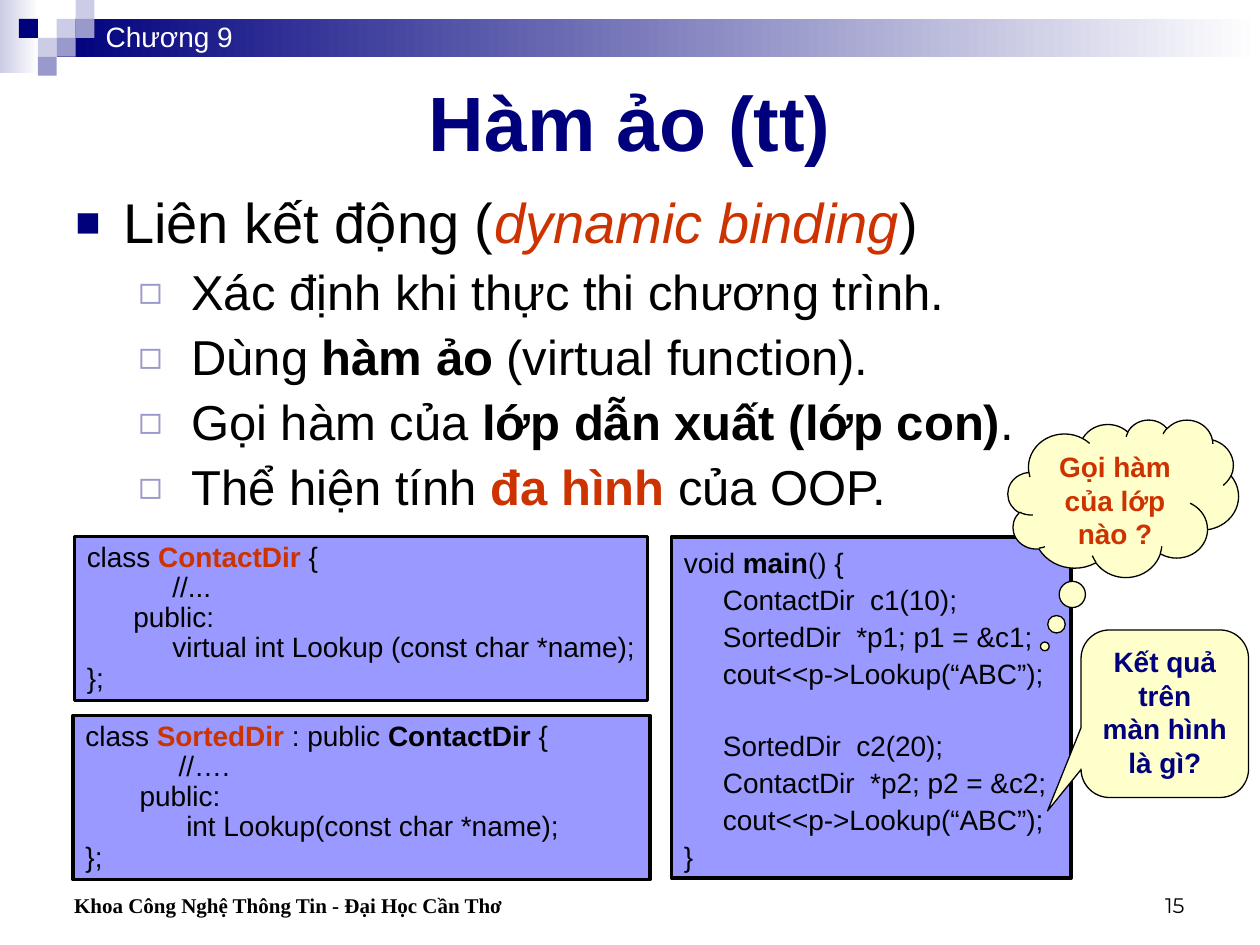
from lxml import etree
from pptx import Presentation
from pptx import util as u
from pptx.dml import color
from pptx.enum import shapes, text
from pptx.oxml import ns

NAVY, LAVENDER, PALE = "00007D", "9999CC", "CCCCE6"
RED, BLACK, WHITE = "CC3300", "000000", "FFFFFF"
CODE_FILL, NOTE_FILL = "9999FF", "FFFFCC"
RECTANGLE = shapes.MSO_SHAPE.RECTANGLE
ANCHOR, ALIGN = text.MSO_ANCHOR, text.PP_ALIGN


def rgb(value):
    return color.RGBColor.from_string(value)


def place(box):
    return [u.Inches(length) for length in box]


def add_box(slide, kind, box, fill, line_width=None):
    shape = slide.shapes.add_shape(kind, *place(box))
    shape.shadow.inherit = False
    shape.fill.solid()
    shape.fill.fore_color.rgb = rgb(fill)
    if line_width:
        shape.line.color.rgb = rgb(BLACK)
        shape.line.width = u.Pt(line_width)
    else:
        shape.line.fill.background()
    return shape


def add_fading_bar(slide, box, start):
    shape = add_box(slide, RECTANGLE, box, start)
    shape.fill.gradient()
    shape.fill.gradient_angle = 0
    for stop, value in zip(shape.fill.gradient_stops, (start, WHITE)):
        stop.color.rgb = rgb(value)


def write(shape, paragraphs, size, anchor=ANCHOR.TOP, align=ALIGN.LEFT, font="Arial"):
    """Fill a shape with paragraphs, each a list of (text, colour, style) runs.

    Style holds "b" for bold and "i" for italic.
    """
    frame = shape.text_frame
    frame.word_wrap = True
    frame.vertical_anchor = anchor
    for index, runs in enumerate(paragraphs):
        paragraph = frame.add_paragraph() if index else frame.paragraphs[0]
        paragraph.alignment = align
        for content, value, style in runs:
            run = paragraph.add_run()
            run.text = content
            run.font.name = font
            run.font.size = u.Pt(size)
            run.font.color.rgb = rgb(value)
            run.font.bold = "b" in style
            run.font.italic = "i" in style
    return frame


def add_text(slide, box, *args, **options):
    return write(slide.shapes.add_textbox(*place(box)), *args, **options)


def plain(content):
    return [(content, BLACK, "")]


def indent(paragraph, left, first=0):
    properties = paragraph._p.get_or_add_pPr()
    properties.set("marL", str(u.Inches(left)))
    properties.set("indent", str(u.Inches(first)))
    return properties


def add_bullet(paragraph, left, first, character, value, percent):
    properties = indent(paragraph, left, first)
    bullet_color = etree.SubElement(properties, ns.qn("a:buClr"))
    etree.SubElement(bullet_color, ns.qn("a:srgbClr"), val=value)
    etree.SubElement(properties, ns.qn("a:buSzPct"), val=str(percent * 1000))
    etree.SubElement(properties, ns.qn("a:buFont"), typeface="Arial")
    etree.SubElement(properties, ns.qn("a:buChar"), char=character)


def add_header(slide, box):
    left, top, width, height = box
    unit = 0.15
    add_fading_bar(slide, (left, top, 0.31, height), PALE)
    add_fading_bar(slide, (left + 3 * unit, top + unit, width - 3 * unit, 2 * unit), NAVY)
    squares = [(3, 1, PALE), (4, 0, PALE), (4, 1, LAVENDER), (2, 2, PALE),
               (1, 1, NAVY), (3, 2, LAVENDER), (2, 3, LAVENDER)]
    for column, row, fill in squares:
        square = (left + column * unit, top + row * unit, unit, unit)
        add_box(slide, RECTANGLE, square, fill)
    add_text(slide, (left + 0.74, top + 0.11, 1.75, 0.37), [[("Chương 9", WHITE, "")]], 16)


def add_bullets(slide, box, heading, items):
    frame = add_text(slide, box, [heading], 32)
    first = frame.paragraphs[0]
    first.line_spacing, first.space_before = 0.9, u.Pt(8)
    add_bullet(first, 0.38, -0.38, "■", NAVY, 75)
    for runs in items:
        paragraph = frame.add_paragraph()
        paragraph.level = 1
        paragraph.line_spacing, paragraph.space_before = 0.9, u.Pt(7)
        add_bullet(paragraph, 0.92, -0.42, "◻", LAVENDER, 80)
        for content, value, style in runs:
            run = paragraph.add_run()
            run.text = content
            run.font.name, run.font.size = "Arial", u.Pt(28)
            run.font.color.rgb = rgb(value)
            run.font.bold = "b" in style


def add_code(slide, box, lines, spacing, gap_before=None):
    """Place code lines given as (indent, runs); gap_before is a line set off by a gap."""
    shape = add_box(slide, RECTANGLE, box, CODE_FILL, 2)
    frame = write(shape, [runs for _, runs in lines], 16, ANCHOR.MIDDLE)
    frame.margin_right = u.Inches(0.05)
    for index, (left, _) in enumerate(lines):
        paragraph = frame.paragraphs[index]
        indent(paragraph, left)
        paragraph.line_spacing = spacing
        if index == gap_before:
            paragraph.space_before = u.Pt(20)


def add_callout(slide, kind, box, adjustments, lines, value):
    shape = add_box(slide, kind, box, NOTE_FILL, 0.75)
    for index, adjustment in enumerate(adjustments):
        shape.adjustments[index] = adjustment
    write(shape, [[(line, value, "b")] for line in lines], 16, align=ALIGN.CENTER)


def add_footer(slide, box):
    left, top, width, height = box
    department = [("Khoa Công Nghệ Thông Tin - Đại Học Cần Thơ", BLACK, "b")]
    frame = add_text(slide, (left, top, 4.83, height), [department], 12,
                     ANCHOR.BOTTOM, font="Times New Roman")
    indent(frame.paragraphs[0], 0.24)
    add_text(slide, (left + width - 2.33, top, 2.33, height), [plain("15")], 12,
             ANCHOR.BOTTOM, ALIGN.RIGHT, "Montserrat")


def main():
    presentation = Presentation()
    presentation.slide_width, presentation.slide_height = u.Inches(10), u.Inches(7.5)
    slide = presentation.slides.add_slide(presentation.slide_layouts[6])

    add_header(slide, (0, 0, 10, 0.58))
    add_text(slide, (0.5, 0.5, 9, 0.92), [[("Hàm ảo (tt)", NAVY, "b")]], 44,
             ANCHOR.MIDDLE, ALIGN.CENTER)
    add_bullets(
        slide, (0.5, 1.5, 9, 2.67),
        [("Liên kết động (", BLACK, ""), ("dynamic binding", RED, "i"), (")", BLACK, "")],
        [plain("Xác định khi thực thi chương trình."),
         [("Dùng ", BLACK, ""), ("hàm ảo", BLACK, "b"), (" (virtual function).", BLACK, "")],
         [("Gọi hàm của ", BLACK, ""), ("lớp dẫn xuất (lớp con)", BLACK, "b"),
          (".", BLACK, "")],
         [("Thể hiện tính ", BLACK, ""), ("đa hình", RED, "b"), (" của OOP.", BLACK, "")]])

    add_code(slide, (0.59, 4.26, 4.55, 1.3), [
        (0, [("class ", BLACK, ""), ("ContactDir", RED, "b"), (" {", BLACK, "")]),
        (0.68, plain("//...")),
        (0.37, plain("public:")),
        (0.68, plain("virtual int Lookup (const char *name);")),
        (0, plain("};"))], 0.9)
    add_code(slide, (0.58, 5.68, 4.58, 1.3), [
        (0, [("class ", BLACK, ""), ("SortedDir", RED, "b"), (" : public ", BLACK, ""),
             ("ContactDir", BLACK, "b"), (" {", BLACK, "")]),
        (0.74, plain("//….")),
        (0.43, plain("public:")),
        (0.8, plain("int Lookup(const char *name);")),
        (0, plain("};"))], 0.9)
    statements = ["ContactDir  c1(10);", "SortedDir  *p1; p1 = &c1;", "cout<<p->Lookup(“ABC”);",
                  "SortedDir  c2(20);", "ContactDir  *p2; p2 = &c2;", "cout<<p->Lookup(“ABC”);"]
    add_code(slide, (5.33, 4.26, 3.17, 2.71), [
        (0, [("void ", BLACK, ""), ("main", BLACK, "b"), ("() {", BLACK, "")]),
        *[(0.31, plain(statement)) for statement in statements],
        (0, plain("}"))], 1.1, gap_before=4)

    add_callout(slide, shapes.MSO_SHAPE.CLOUD_CALLOUT, (8, 3.33, 1.83, 1.25),
                (-0.34, 0.94), ["Gọi hàm của lớp nào ?"], RED)
    add_callout(slide, shapes.MSO_SHAPE.ROUNDED_RECTANGULAR_CALLOUT, (8.58, 5, 1.33, 1.33),
                (-0.7, 0.58, 0.17), ["Kết quả trên", "màn hình", "là gì?"], NAVY)
    add_footer(slide, (0.25, 6.83, 9.25, 0.5))
    presentation.save("out.pptx")


if __name__ == "__main__":
    main()
